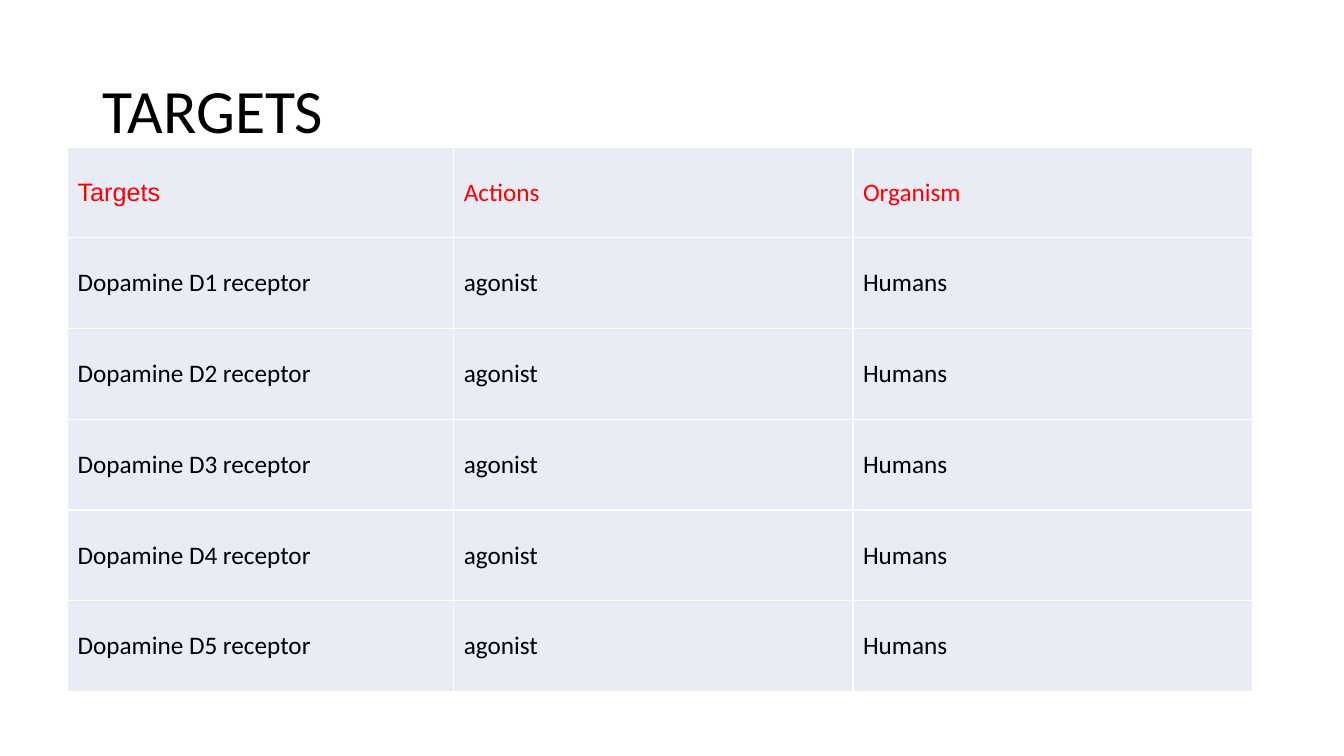
from lxml import etree
from pptx import Presentation
from pptx import util as u
from pptx.dml.color import RGBColor
from pptx.enum import text
from pptx.oxml import ns

COLORS = {"title": "000000", "header": "FF0000", "body": "000000",
          "cell": "E9EBF5", "border": "FFFFFF"}
HEADERS = ["Targets", "Actions", "Organism"]
COLUMN_WIDTHS = [3.83, 3.96, 3.96]
ROW_HEIGHT = 0.9


def style_text(para, font, size, color):
    for span in para.runs:
        span.font.name = font
        span.font.size = u.Pt(size)
        span.font.bold = False
        span.font.color.rgb = RGBColor.from_string(COLORS[color])


def add_borders(cell):
    """Draw a 1 pt line on all four sides of a table cell."""
    properties = cell._tc.get_or_add_tcPr()
    for position, side in enumerate(["a:lnL", "a:lnR", "a:lnT", "a:lnB"]):
        line = etree.Element(ns.qn(side), w=str(u.Pt(1)))
        fill = etree.SubElement(line, ns.qn("a:solidFill"))
        etree.SubElement(fill, ns.qn("a:srgbClr"), val=COLORS["border"])
        properties.insert(position, line)


deck = Presentation()
deck.slide_width = u.Inches(13.33)
deck.slide_height = u.Inches(7.5)
page = deck.slides.add_slide(deck.slide_layouts[6])

# Title
title_box = page.shapes.add_textbox(u.Inches(0.92), u.Inches(0.4),
                                    u.Inches(11.5), u.Inches(1.45))
title_box.text_frame.word_wrap = True
title_box.text_frame.vertical_anchor = text.MSO_ANCHOR.MIDDLE
title_box.text_frame.text = "TARGETS"
title = title_box.text_frame.paragraphs[0]
title.line_spacing = 0.9
style_text(title, "Calibri", 44, "title")

# Receptor table
rows = [HEADERS]
for number in range(1, 6):
    rows.append([f"Dopamine D{number} receptor", "agonist", "Humans"])

table = page.shapes.add_table(
    len(rows), len(HEADERS), u.Inches(0.67), u.Inches(1.46),
    u.Inches(sum(COLUMN_WIDTHS)), u.Inches(ROW_HEIGHT * len(rows))).table
table.horz_banding = False
for column, width in zip(table.columns, COLUMN_WIDTHS):
    column.width = u.Inches(width)

for row_index, row in enumerate(rows):
    table.rows[row_index].height = u.Inches(ROW_HEIGHT)
    for column_index, wording in enumerate(row):
        cell = table.cell(row_index, column_index)
        cell.text_frame.text = wording
        cell.vertical_anchor = text.MSO_ANCHOR.MIDDLE
        cell.fill.solid()
        cell.fill.fore_color.rgb = RGBColor.from_string(COLORS["cell"])
        add_borders(cell)
        font = "Arial" if wording == "Targets" else "Calibri"
        color = "header" if row_index == 0 else "body"
        style_text(cell.text_frame.paragraphs[0], font, 18, color)

deck.save("out.pptx")
